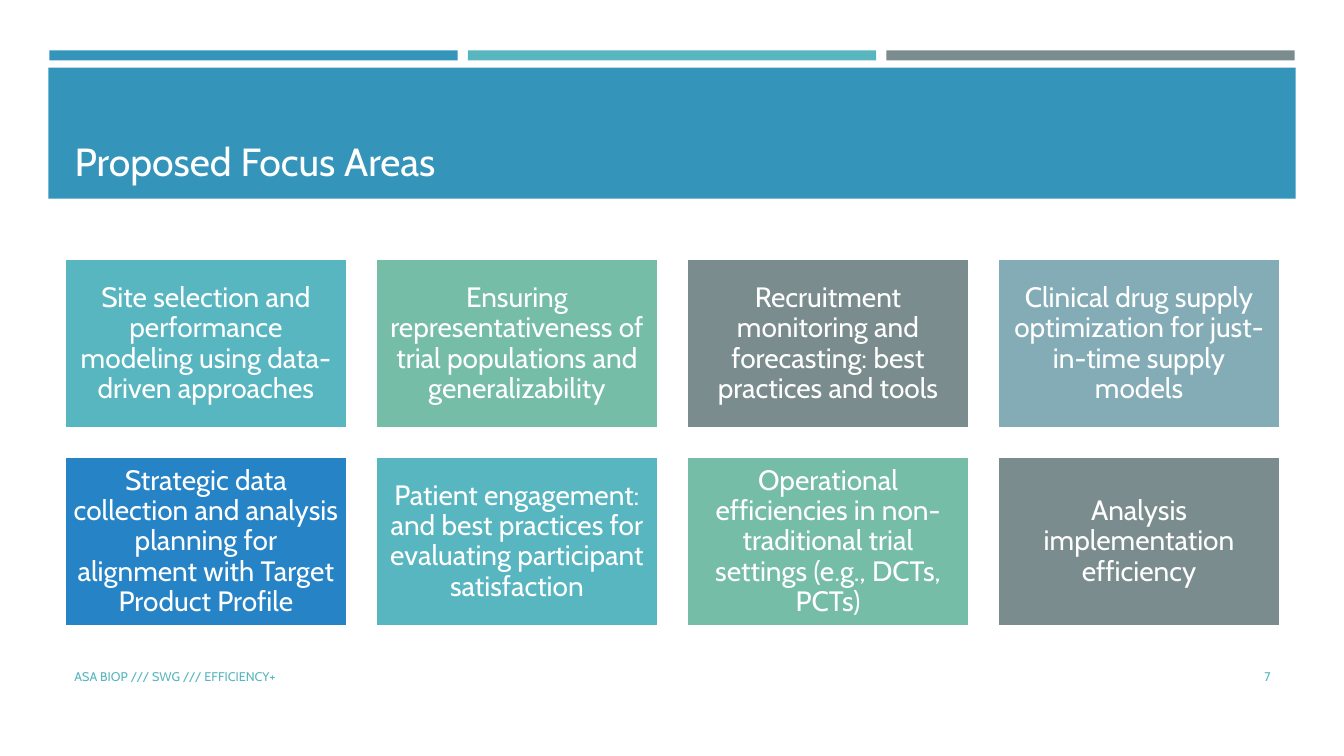
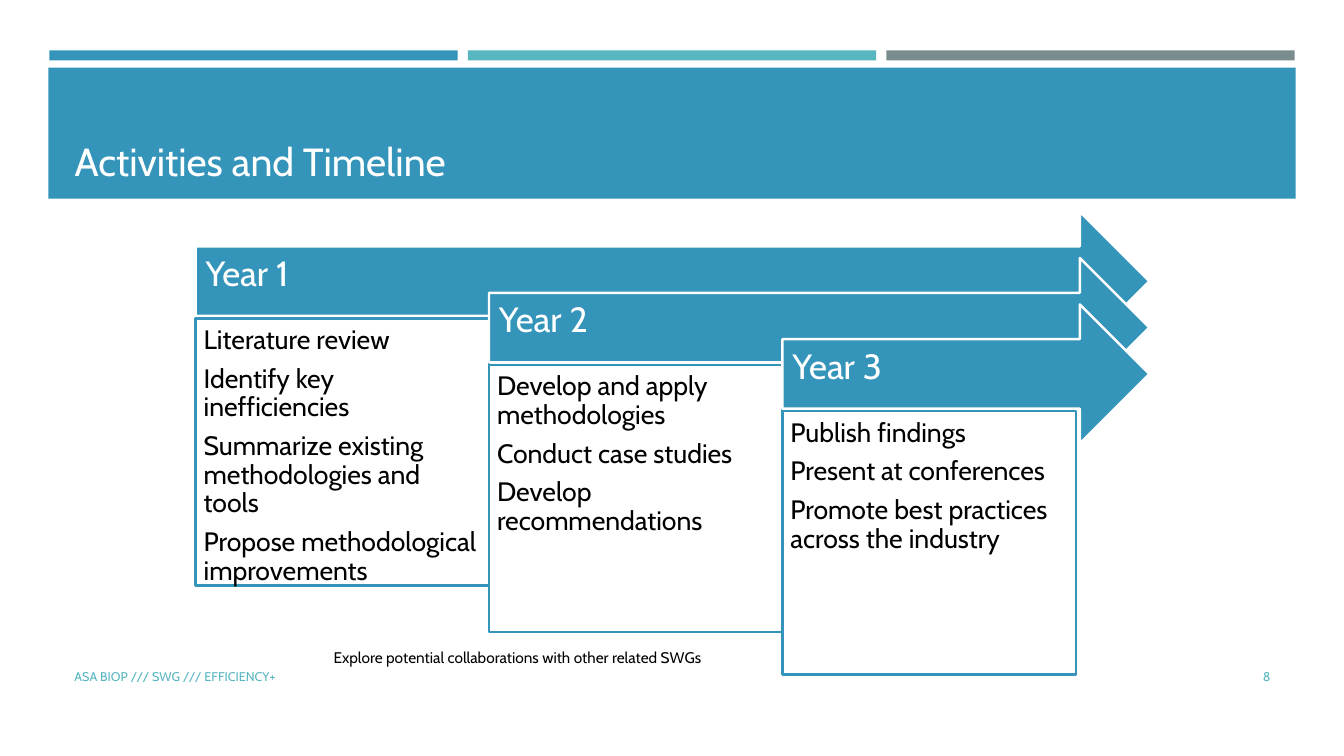
from dataclasses import dataclass

from pptx import Presentation
from pptx import util as u
from pptx.dml.color import RGBColor
from pptx.enum import shapes, text

FOOTER = "ASA BIOP /// SWG /// EFFICIENCY+"
FIRST_NUMBER = 7

FOCUS_TITLE = "Proposed Focus Areas"
FOCUS_AREAS = [
    ("Site selection and performance modeling using data-driven approaches", "teal"),
    ("Ensuring representativeness of trial populations and generalizability", "green"),
    ("Recruitment monitoring and forecasting: best practices and tools", "gray"),
    ("Clinical drug supply optimization for just-in-time supply models", "mist"),
    ("Strategic data collection and analysis planning for alignment with "
     "Target Product Profile", "cobalt"),
    ("Patient engagement: and best practices for evaluating participant satisfaction", "teal"),
    ("Operational efficiencies in non-traditional trial settings (e.g., DCTs, PCTs)", "green"),
    ("Analysis implementation efficiency", "gray"),
]

TIMELINE_TITLE = "Activities and Timeline"
YEARS = [
    ("Year 1", 2.65, ["Literature review", "Identify key inefficiencies",
                      "Summarize existing methodologies and tools",
                      "Propose methodological improvements"]),
    ("Year 2", 2.65, ["Develop and apply methodologies", "Conduct case studies",
                      "Develop recommendations"]),
    ("Year 3", 2.61, ["Publish findings", "Present at conferences",
                      "Promote best practices across the industry"]),
]
TIMELINE_NOTE = "Explore potential collaborations with other related SWGs"


@dataclass(frozen=True)
class Theme:
    font: str = "Cabin"
    blue: str = "3494BA"
    teal: str = "58B6C0"
    gray: str = "7A8C8E"
    green: str = "75BDA7"
    mist: str = "84ACB6"
    cobalt: str = "2683C6"
    white: str = "FFFFFF"
    black: str = "000000"
    title_size: int = 28
    year_size: int = 25
    card_size: int = 20
    activity_size: int = 19
    note_size: int = 11
    footer_size: int = 9
    outline: float = 1.75


THEME = Theme()
WIDTH, HEIGHT = 13.33, 7.5
LEFT, CONTENT_WIDTH = 0.64, 12.06
DEFAULT_INSETS = (0.1, 0.05, 0.1, 0.05)
BOX_INSETS = (0.08,) * 4


def inches(*lengths):
    return [u.Inches(length) for length in lengths]


def write(shape, lines, size, color, anchor="TOP", align="LEFT",
          insets=DEFAULT_INSETS, line_spacing=1.0, gap=0):
    """Fill the text frame with one paragraph per line, gap points apart."""
    frame = shape.text_frame
    margins = dict(zip(("left", "top", "right", "bottom"), inches(*insets)))
    settings = {f"margin_{side}": margin for side, margin in margins.items()}
    settings |= {"word_wrap": True, "auto_size": text.MSO_AUTO_SIZE.NONE,
                 "vertical_anchor": text.MSO_ANCHOR[anchor]}
    for name, value in settings.items():
        setattr(frame, name, value)
    frame.text = "\n".join(lines)
    for paragraph in frame.paragraphs:
        paragraph.alignment = text.PP_ALIGN[align]
        paragraph.line_spacing = line_spacing
        paragraph.space_before = u.Pt(0)
        paragraph.space_after = u.Pt(gap)
        font = paragraph.runs[0].font
        font.name, font.size = THEME.font, u.Pt(size)
        font.color.rgb = RGBColor.from_string(color)


def add_block(slide, box, fill, outline=None, kind="RECTANGLE"):
    shape = slide.shapes.add_shape(shapes.MSO_SHAPE[kind], *inches(*box))
    shape.shadow.inherit = False
    shape.fill.solid()
    shape.fill.fore_color.rgb = RGBColor.from_string(fill)
    if outline:
        shape.line.color.rgb = RGBColor.from_string(outline)
        shape.line.width = u.Pt(THEME.outline)
    else:
        shape.line.fill.background()
    return shape


def add_label(slide, box, label, size, color, **layout):
    write(slide.shapes.add_textbox(*inches(*box)), [label], size, color, **layout)


def add_framed_slide(presentation, title, number):
    """Add a slide with the shared stripes, title band and footer."""
    slide = presentation.slides.add_slide(presentation.slide_layouts[5])
    stripe_width, stripe_gap = 4.05, 0.1
    for index, color in enumerate((THEME.blue, THEME.teal, THEME.gray)):
        left = 0.49 + index * (stripe_width + stripe_gap)
        add_block(slide, (left, 0.5, stripe_width, 0.1), color)
    add_block(slide, (0.48, 0.67, 12.37, 1.3), THEME.blue)

    heading = slide.shapes.title
    heading.left, heading.top, heading.width, heading.height = inches(
        LEFT, 0.77, CONTENT_WIDTH, 1.11)
    write(heading, [title], THEME.title_size, THEME.white, anchor="BOTTOM")
    slide.shapes._spTree.append(heading._element)  # bring in front of the band

    for left, width, label, align in ((LEFT, 7.56, FOOTER, "LEFT"),
                                      (11.55, 1.15, str(number), "RIGHT")):
        add_label(slide, (left, 6.51, width, 0.4), label, THEME.footer_size,
                  THEME.teal, anchor="MIDDLE", align=align)
    return slide


def add_focus_cards(slide, columns=4, gap_share=0.1):
    width = CONTENT_WIDTH / (columns + (columns - 1) * gap_share)
    height, gap = width * 0.6, width * gap_share
    for index, (label, color) in enumerate(FOCUS_AREAS):
        row, column = divmod(index, columns)
        box = (LEFT + column * (width + gap), 2.57 + row * (height + gap), width, height)
        card = add_block(slide, box, getattr(THEME, color), THEME.white)
        write(card, [label], THEME.card_size, THEME.white, anchor="MIDDLE",
              align="CENTER", insets=BOX_INSETS, line_spacing=0.9)


def add_timeline(slide):
    left, top, right = 1.94, 2.1, 11.4
    step_x, step_y = 2.91, 0.46
    for index, (year, height, activities) in enumerate(YEARS):
        x, y = left + index * step_x, top + index * step_y
        arrow = add_block(slide, (x, y, right - x, 1.38), THEME.blue,
                          THEME.white, "RIGHT_ARROW")
        write(arrow, [year], THEME.year_size, THEME.white, anchor="MIDDLE",
              insets=(0.1, 0.1, 0.28, 0.22), line_spacing=0.9)
        panel = add_block(slide, (x, y + 1.06, step_x, height), THEME.white, THEME.blue)
        write(panel, activities, THEME.activity_size, THEME.black,
              insets=BOX_INSETS, line_spacing=0.9, gap=7)
    add_label(slide, (3.21, 6.38, 6.67, 0.29), TIMELINE_NOTE,
              THEME.note_size, THEME.black)


def main():
    presentation = Presentation()
    presentation.slide_width, presentation.slide_height = inches(WIDTH, HEIGHT)
    pages = ((FOCUS_TITLE, add_focus_cards), (TIMELINE_TITLE, add_timeline))
    for number, (title, add_content) in enumerate(pages, FIRST_NUMBER):
        add_content(add_framed_slide(presentation, title, number))
    presentation.save("out.pptx")


if __name__ == "__main__":
    main()
